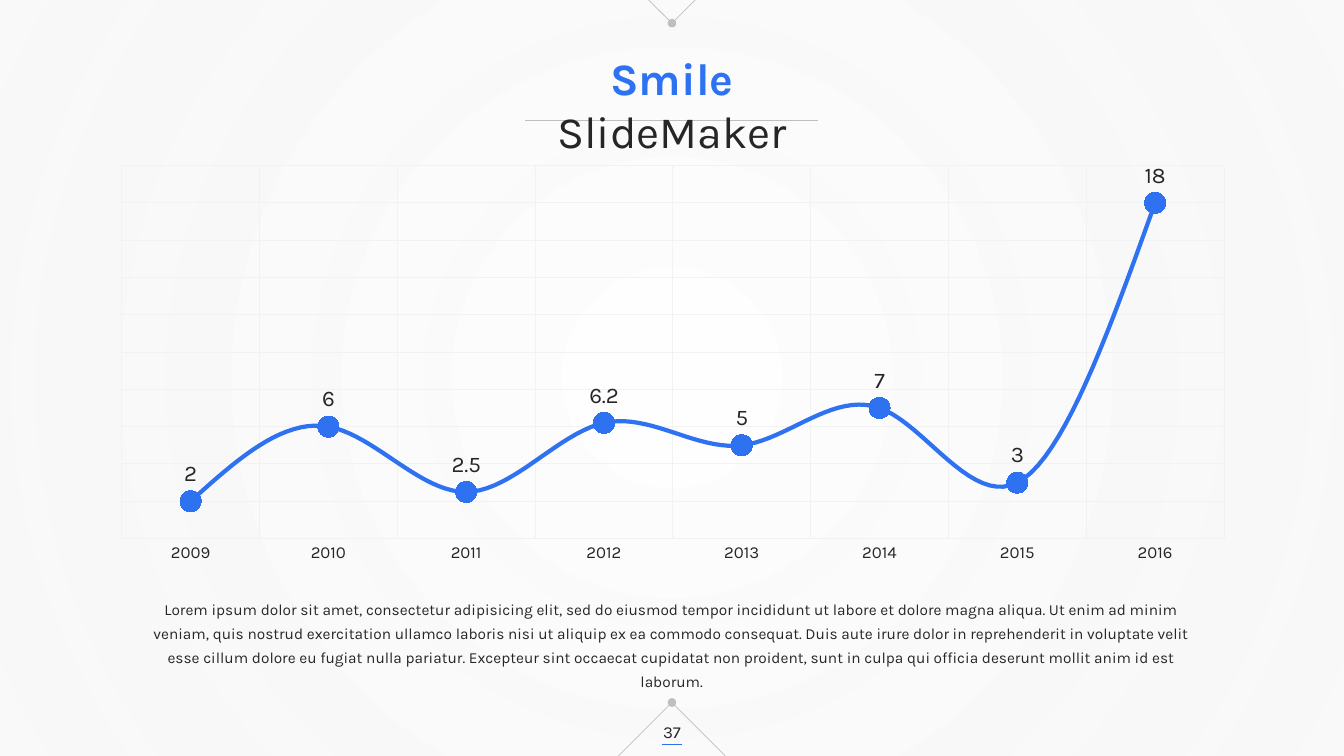
from lxml import etree
from pptx import Presentation
from pptx.chart.data import CategoryChartData
from pptx.dml.color import RGBColor
from pptx.enum import chart as ch, shapes, text
from pptx.oxml import parse_xml
from pptx.oxml.ns import nsdecls, qn
from pptx.util import Pt

BLUE, DARK, GREY, PALE = "2E72F1", "262626", "BFBFBF", "F2F2F2"


def rgb(value):
    return RGBColor.from_string(value)


def style(font, size, color, bold=False):
    font.name, font.size, font.bold = "Karla", Pt(size), bold
    font.color.rgb = rgb(color)


prs = Presentation()
prs.slide_width, prs.slide_height = Pt(960), Pt(540)
slide = prs.slides.add_slide(prs.slide_layouts[6])

# Soft radial backdrop
backdrop = slide.shapes.add_shape(shapes.MSO_SHAPE.RECTANGLE, 0, 0, Pt(960), Pt(540))
backdrop.shadow.inherit = False
backdrop.line.fill.background()
backdrop._element.spPr.find(qn("a:prstGeom")).addnext(parse_xml(
    f'<a:gradFill {nsdecls("a")} rotWithShape="1"><a:gsLst>'
    '<a:gs pos="0"><a:srgbClr val="FFFFFF"/></a:gs>'
    f'<a:gs pos="100000"><a:srgbClr val="{PALE}"><a:alpha val="40000"/></a:srgbClr></a:gs>'
    '</a:gsLst><a:path path="circle">'
    '<a:fillToRect l="50000" t="50000" r="50000" b="50000"/></a:path></a:gradFill>'))

# Rules and the chevrons at top and bottom: x1, y1, x2, y2, colour, dot at the end
rules = [(375.2, 85.9, 584.6, 85.9, GREY, False), (473.2, 531.4, 486.8, 531.4, BLUE, False)]
for edge_y, tip_y, half in [(540, 501.8, 38.2), (0, 16.6, 16.6)]:
    for side in (-1, 1):
        rules.append((480 + side * half, edge_y, 480, tip_y, GREY, True))
for x1, y1, x2, y2, color, dotted in rules:
    rule = slide.shapes.add_connector(
        shapes.MSO_CONNECTOR.STRAIGHT, Pt(x1), Pt(y1), Pt(x2), Pt(y2))
    rule.line.color.rgb = rgb(color)
    rule.line.width = Pt(0.5)
    props = rule._element.spPr
    if dotted:
        etree.SubElement(props.find(qn("a:ln")), qn("a:tailEnd"), type="oval")
    etree.SubElement(props, qn("a:effectLst"))

# Title, description and page number
lorem = (
    "Lorem ipsum dolor sit amet, consectetur adipisicing elit, sed do eiusmod tempor "
    "incididunt ut labore et dolore magna aliqua. Ut enim ad minim veniam, quis nostrud "
    "exercitation ullamco laboris nisi ut aliquip ex ea commodo consequat. Duis aute irure "
    "dolor in reprehenderit in voluptate velit esse cillum dolore eu fugiat nulla pariatur. "
    "Excepteur sint occaecat cupidatat non proident, sunt in culpa qui officia deserunt "
    "mollit anim id est laborum.")
captions = [
    ((346.5, 32.4, 267, 46), [("Smile", BLUE, True), (" SlideMaker", DARK, False)], 32, 1, 40),
    ((95, 421.2, 769.7, 59), [(lorem, DARK, False)], 11, 1.3, 7.2),
    ((455, 508.3, 50, 28.8), [("37", DARK, False)], 12, 1, 7.2),
]
for place, pieces, size, spacing, inset in captions:
    frame = slide.shapes.add_textbox(*map(Pt, place)).text_frame
    frame.word_wrap = True
    frame.margin_left = frame.margin_right = Pt(inset)
    line = frame.paragraphs[0]
    line.alignment = text.PP_ALIGN.CENTER
    line.line_spacing = spacing
    for words, color, bold in pieces:
        run = line.add_run()
        run.text = words
        style(run.font, size, color, bold)
frame.vertical_anchor = text.MSO_ANCHOR.MIDDLE

# Yearly line chart
yearly = CategoryChartData()
yearly.categories = [str(year) for year in range(2009, 2017)]
yearly.add_series("Series 1", [2, 6, 2.5, 6.2, 5, 7, 3, 18])
chart = slide.shapes.add_chart(
    ch.XL_CHART_TYPE.LINE_MARKERS, Pt(75.6), Pt(109.4), Pt(809.3), Pt(306), yearly).chart
chart.has_legend = chart.has_title = False
style(chart.font, 10, "000000")

years, values = chart.category_axis, chart.value_axis
values.minimum_scale, values.maximum_scale, values.major_unit = 0, 20, 2
values.visible = False
years.major_tick_mark = ch.XL_TICK_MARK.NONE
style(years.tick_labels.font, 12, DARK)
for axis in (years, values):
    axis.has_major_gridlines = True
for thin in (years.format.line, years.major_gridlines.format.line,
             values.major_gridlines.format.line):
    thin.color.rgb = rgb(PALE)
    thin.width = Pt(0.75)

plot = chart.plots[0]
plot.vary_by_categories = False
curve = plot.series[0]
curve.smooth = True
curve.format.line.color.rgb = rgb(BLUE)
curve.format.line.width = Pt(3)
curve.marker.style, curve.marker.size = ch.XL_MARKER_STYLE.CIRCLE, 15
curve.marker.format.fill.solid()
curve.marker.format.fill.fore_color.rgb = rgb(BLUE)
curve.marker.format.line.color.rgb = rgb(BLUE)
labels = curve.data_labels
labels.show_value = True
labels.position = ch.XL_LABEL_POSITION.ABOVE
style(labels.font, 16, DARK)

# Fixed plot area inside the chart
area = chart._chartSpace.chart.plotArea
for layout in area.findall(qn("c:layout")):
    area.remove(layout)
layout = etree.Element(qn("c:layout"))
manual = etree.SubElement(layout, qn("c:manualLayout"))
for tag, val in [("layoutTarget", "inner"), ("xMode", "edge"), ("yMode", "edge"),
                 ("x", "0.014"), ("y", "0.029"), ("w", "0.973"), ("h", "0.871")]:
    etree.SubElement(manual, qn("c:" + tag), val=val)
area.insert(0, layout)

prs.save("out.pptx")
